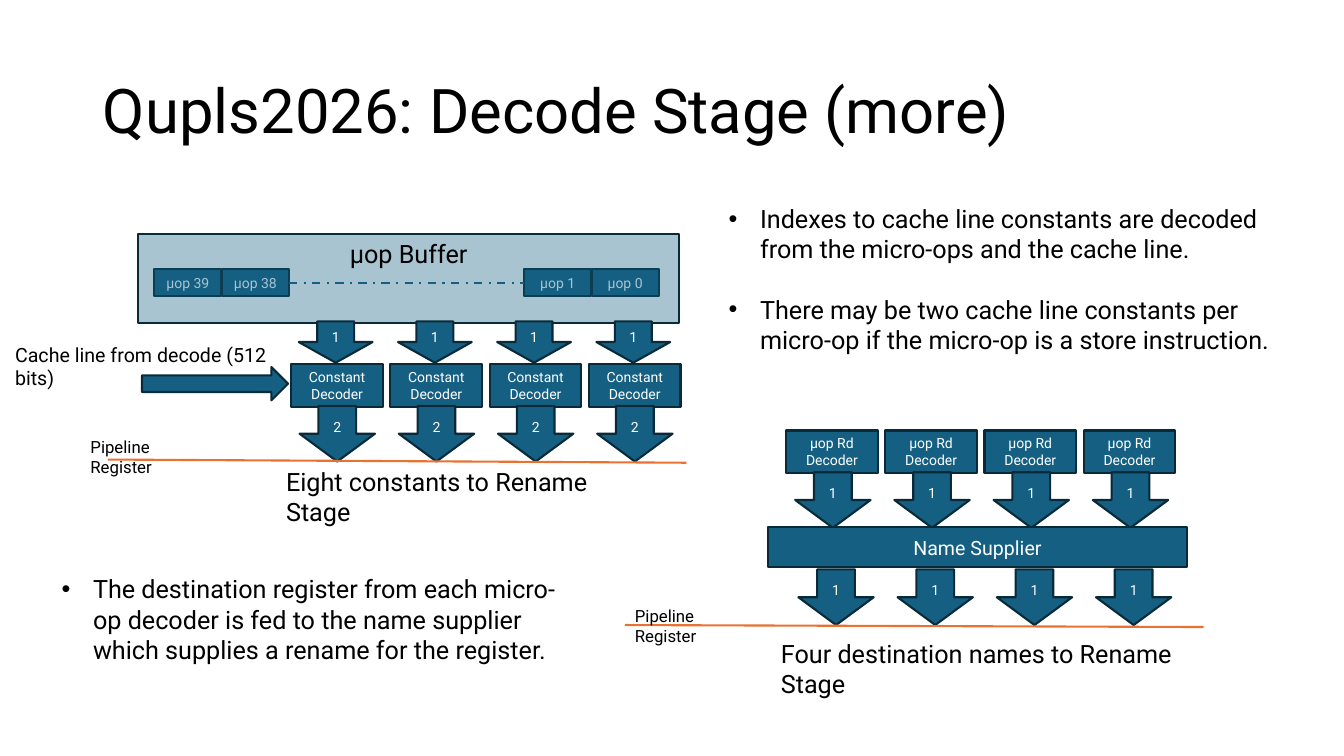
from lxml import etree
from pptx import Presentation
from pptx import util as u
from pptx.dml.color import RGBColor
from pptx.enum import dml, shapes, text
from pptx.oxml import ns

Cm = u.Cm
BLUE = RGBColor(0x15, 0x60, 0x82)
NAVY = RGBColor(0x09, 0x2A, 0x39)
ORANGE = RGBColor(0xE9, 0x71, 0x32)
BLACK = RGBColor(0, 0, 0)
WHITE = RGBColor(255, 255, 255)
FONT = "Roboto"
RECT = shapes.MSO_SHAPE.RECTANGLE
DOWN = shapes.MSO_SHAPE.DOWN_ARROW
RIGHT = shapes.MSO_SHAPE.RIGHT_ARROW
LEFT_ALIGN = text.PP_ALIGN.LEFT
CENTER = text.PP_ALIGN.CENTER
TOP = text.MSO_ANCHOR.TOP
MIDDLE = text.MSO_ANCHOR.MIDDLE
COLUMN_PITCH = 2.5


def write(sp, *lines, size=18, color=BLACK, align=LEFT_ALIGN, anchor=TOP,
          spacing=1.0, gap=0):
    tf = sp.text_frame
    tf.word_wrap = True
    tf.auto_size = text.MSO_AUTO_SIZE.NONE
    tf.vertical_anchor = anchor
    for i, line in enumerate(lines):
        p = tf.add_paragraph() if i else tf.paragraphs[0]
        p.alignment = align
        p.line_spacing = spacing
        p.space_before = u.Pt(gap if i else 0)
        r = p.add_run()
        r.text = line
        r.font.name = FONT
        r.font.size = u.Pt(size)
        r.font.color.rgb = color


def place(sp, x, y, w, h):
    sp.left, sp.top, sp.width, sp.height = Cm(x), Cm(y), Cm(w), Cm(h)


def add_title(s, content):
    sp = s.shapes.title
    place(sp, 2.34, 1.02, 29.21, 3.68)
    write(sp, content, size=44, anchor=MIDDLE, spacing=0.9)


def add_bullets(sp, box, *items):
    place(sp, *box)
    write(sp, *items, gap=21.5)
    for p in sp.text_frame.paragraphs:
        pPr = p._p.get_or_add_pPr()
        pPr.set("marL", str(Cm(0.79)))
        pPr.set("indent", str(Cm(-0.79)))
        etree.SubElement(pPr, ns.qn("a:buFont")).set("typeface", "Arial")
        etree.SubElement(pPr, ns.qn("a:buChar")).set("char", "•")


def add_label(s, content, x, y, w, h, size=18):
    write(s.shapes.add_textbox(Cm(x), Cm(y), Cm(w), Cm(h)), content, size=size)


def add_block(s, kind, x, y, w, h, content="", alpha=None, size=10,
              color=WHITE, anchor=MIDDLE):
    sp = s.shapes.add_shape(kind, Cm(x), Cm(y), Cm(w), Cm(h))
    sp.shadow.inherit = False
    sp.fill.solid()
    sp.fill.fore_color.rgb = BLUE
    sp.line.color.rgb = NAVY
    sp.line.width = u.Pt(1.5)
    if alpha:
        srgb = sp._element.spPr.find(ns.qn("a:solidFill"))[0]
        etree.SubElement(srgb, ns.qn("a:alpha")).set("val", str(alpha * 1000))
    if content:
        write(sp, content, size=size, color=color, align=CENTER, anchor=anchor)
    return sp


def add_row(s, kind, x, y, w, h, content):
    for i in range(4):
        add_block(s, kind, x + i * COLUMN_PITCH, y, w, h, content)


def add_line(s, x1, y1, x2, y2, color):
    cx = s.shapes.add_connector(shapes.MSO_CONNECTOR.STRAIGHT,
                                Cm(x1), Cm(y1), Cm(x2), Cm(y2))
    cx.line.color.rgb = color
    cx.line.width = u.Pt(1.5)
    etree.SubElement(cx._element.spPr, ns.qn("a:effectLst"))
    return cx


def add_uop_buffer(s):
    slots = {name: add_block(s, RECT, x, 6.78, 1.69, 0.69, name)
             for name, x in (("µop 39", 3.89), ("µop 38", 5.59),
                             ("µop 1", 13.21), ("µop 0", 14.91))}
    cx = add_line(s, 7.28, 7.12, 13.21, 7.12, BLUE)
    cx.line.dash_style = dml.MSO_LINE.DASH_DOT
    cx.begin_connect(slots["µop 38"], 3)
    cx.end_connect(slots["µop 1"], 1)
    add_block(s, RECT, 3.48, 5.89, 13.64, 2.24, "µop Buffer", alpha=37,
              size=18, color=BLACK, anchor=TOP)


def add_constant_decoders(s):
    add_row(s, RECT, 7.34, 9.18, 2.31, 1.07, "Constant Decoder")
    add_row(s, DOWN, 7.53, 8.1, 1.86, 1.04, "1")
    add_row(s, DOWN, 7.55, 10.23, 1.9, 1.4, "2")
    add_block(s, RIGHT, 3.58, 9.25, 3.68, 0.84)
    add_label(s, "Cache line from decode (512 bits)", 0.13, 8.51, 7.77, 0.86, 14)
    add_label(s, "Eight constants to Rename Stage", 6.96, 11.63, 9.6, 1.02)


def add_name_supplier(s):
    add_row(s, RECT, 19.81, 10.85, 2.31, 1.07, "µop Rd Decoder")
    add_row(s, DOWN, 20.04, 11.9, 1.9, 1.4, "1")
    add_block(s, RECT, 19.35, 13.28, 10.57, 1.02, "Name Supplier", size=14)
    add_row(s, DOWN, 20.12, 14.35, 1.9, 1.4, "1")
    add_label(s, "Four destination names to Rename Stage", 19.43, 15.95, 11.84, 1.02)


def add_pipeline_register(s, line, x, y):
    add_line(s, *line, ORANGE)
    add_label(s, "Pipeline Register", x, y, 3.61, 0.76, 12)


def main():
    prs = Presentation()
    prs.slide_width, prs.slide_height = Cm(33.87), Cm(19.05)
    s = prs.slides.add_slide(prs.slide_layouts[3])
    add_title(s, "Qupls2026: Decode Stage (more)")
    add_bullets(s.placeholders[1], (18.11, 5, 14.91, 4.11),
                "Indexes to cache line constants are decoded from the "
                "micro-ops and the cache line.",
                "There may be two cache line constants per micro-op if the "
                "micro-op is a store instruction.")
    add_bullets(s.placeholders[2], (1.3, 14.33, 13.34, 2.57),
                "The destination register from each micro-op decoder is fed to "
                "the name supplier which supplies a rename for the register.")
    add_uop_buffer(s)
    add_constant_decoders(s)
    add_pipeline_register(s, (2.72, 11.58, 17.3, 11.66), 2.03, 10.87)
    add_name_supplier(s)
    add_pipeline_register(s, (15.75, 15.75, 30.33, 15.8), 15.75, 15.14)
    prs.save("out.pptx")


if __name__ == "__main__":
    main()
